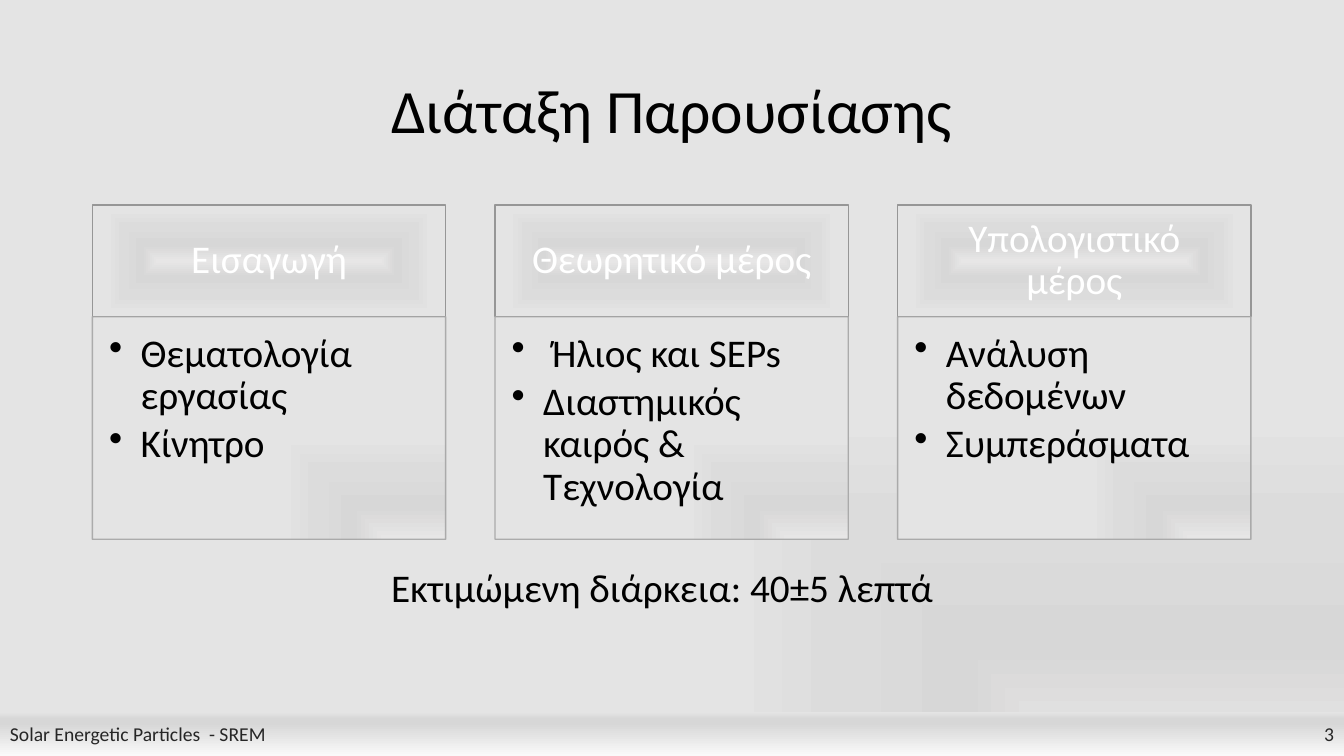
"""Build the presentation outline slide with three topic cards."""
import lxml.etree
import pptx
import pptx.dml.color
import pptx.enum.shapes
import pptx.enum.text
import pptx.oxml
import pptx.oxml.ns
import pptx.util

Pt = pptx.util.Pt
qn = pptx.oxml.ns.qn
ALIGN = pptx.enum.text.PP_ALIGN
ANCHOR = pptx.enum.text.MSO_ANCHOR
RECTANGLE = pptx.enum.shapes.MSO_SHAPE.RECTANGLE

COLORS = {
    "text": "000000",
    "header text": "FFFFFF",
    "footer text": "262626",
    "header line": "969696",
    "body line": "A5A5A5",
}
PANEL_STOPS = [(0, "E7E6E6"), (29, "D7D7D7"), (62, "DCDCDC"), (92, "E4E4E4")]
FOOTER_STOPS = [(0, "FAFAFA"), (74, "D7D7D7"), (83, "D7D7D7"), (100, "E4E4E4")]
TO_CORNER = '<a:path path="rect"><a:fillToRect l="100000" t="100000"/></a:path>'
TO_CENTER = ('<a:path path="shape"><a:fillToRect l="50000" t="50000" '
             'r="50000" b="50000"/></a:path>')
UPWARD = '<a:lin ang="16200000" scaled="0"/>'


def paint(fill, properties, stops, shade):
    """Give the properties element a gradient fill."""
    fill.solid()
    stop_list = "".join(
        f'<a:gs pos="{position * 1000}"><a:srgbClr val="{color}"/></a:gs>'
        for position, color in stops)
    gradient = pptx.oxml.parse_xml(
        f'<a:gradFill {pptx.oxml.ns.nsdecls("a")} rotWithShape="1">'
        f'<a:gsLst>{stop_list}</a:gsLst>{shade}</a:gradFill>')
    properties.replace(properties.find(qn("a:solidFill")), gradient)


def write(shape, lines, size=28, color="text", align=ALIGN.LEFT, anchor=ANCHOR.TOP,
          margins=(7.2, 3.6, 7.2, 3.6), spacing=1.0, after=0, bullet=False, wrap=True):
    """Write the lines as formatted paragraphs."""
    frame = shape.text_frame
    frame.auto_size = pptx.enum.text.MSO_AUTO_SIZE.NONE
    frame.word_wrap = wrap
    frame.vertical_anchor = anchor
    (frame.margin_left, frame.margin_top,
     frame.margin_right, frame.margin_bottom) = map(Pt, margins)
    for index, line in enumerate(lines):
        para = frame.add_paragraph() if index else frame.paragraphs[0]
        if bullet:
            properties = para._p.get_or_add_pPr()
            properties.set("marL", str(Pt(22.5)))
            properties.set("indent", str(-Pt(22.5)))
            lxml.etree.SubElement(properties, qn("a:buChar"), char="•")
        para.alignment = align
        para.line_spacing = spacing
        para.space_after = Pt(after)
        span = para.add_run()
        span.text = line
        span.font.name = "Calibri"
        span.font.size = Pt(size)
        span.font.color.rgb = pptx.dml.color.RGBColor.from_string(COLORS[color])


deck = pptx.Presentation()
deck.slide_width, deck.slide_height = Pt(960), Pt(540)
page = deck.slides.add_slide(deck.slide_layouts[5])
background = page.background.fill
paint(background, page.element.find(".//" + qn("p:bgPr")), PANEL_STOPS, TO_CORNER)

title = page.shapes.title
title.left, title.top, title.width, title.height = Pt(66), Pt(29), Pt(828), Pt(104)
write(title, ["Διάταξη Παρουσίασης"], size=44, align=ALIGN.CENTER,
      anchor=ANCHOR.MIDDLE, spacing=0.9)

CARDS = [
    ("Εισαγωγή", ["Θεματολογία εργασίας", "Κίνητρο"]),
    ("Θεωρητικό μέρος", [" Ήλιος και SEPs", "Διαστημικός καιρός & Τεχνολογία"]),
    ("Υπολογιστικό μέρος", ["Ανάλυση δεδομένων", "Συμπεράσματα"]),
]
HEADER_FORMAT = dict(color="header text", align=ALIGN.CENTER, anchor=ANCHOR.MIDDLE,
                     margins=(16, 9, 16, 9), spacing=0.9)
BODY_FORMAT = dict(margins=(11.9, 11.9, 15.9, 17.5), spacing=0.9, after=4.2, bullet=True)
for column, (heading, topics) in enumerate(CARDS):
    left = 66 + column * 287.6
    for top, height, shade, line_color, lines, style in (
            (146.4, 79.8, TO_CENTER, "header line", [heading], HEADER_FORMAT),
            (226.2, 159, TO_CORNER, "body line", topics, BODY_FORMAT)):
        box = page.shapes.add_shape(RECTANGLE, Pt(left), Pt(top), Pt(252.3), Pt(height))
        box.shadow.inherit = False
        paint(box.fill, box._element.spPr, PANEL_STOPS, shade)
        box.line.width = Pt(1)
        box.line.color.rgb = pptx.dml.color.RGBColor.from_string(COLORS[line_color])
        if line_color == "body line":
            tint = box._element.spPr.find(".//" + qn("a:ln") + "//" + qn("a:srgbClr"))
            lxml.etree.SubElement(tint, qn("a:alpha"), val="90000")
        write(box, lines, **style)

duration = page.shapes.add_textbox(Pt(272.2), Pt(399), Pt(406), Pt(41))
write(duration, ["Εκτιμώμενη διάρκεια: 40±5 λεπτά"], wrap=False)
duration.text_frame.auto_size = pptx.enum.text.MSO_AUTO_SIZE.SHAPE_TO_FIT_TEXT

for left, label, align in ((480, "3", ALIGN.RIGHT),
                           (0, "Solar Energetic Particles  - SREM", ALIGN.LEFT)):
    footer = page.shapes.add_shape(RECTANGLE, Pt(left), Pt(508.5), Pt(480), Pt(31.5))
    footer.shadow.inherit = False
    footer.line.fill.background()
    paint(footer.fill, footer._element.spPr, FOOTER_STOPS, UPWARD)
    write(footer, [label], size=14, color="footer text", align=align, anchor=ANCHOR.MIDDLE)

deck.save("out.pptx")
